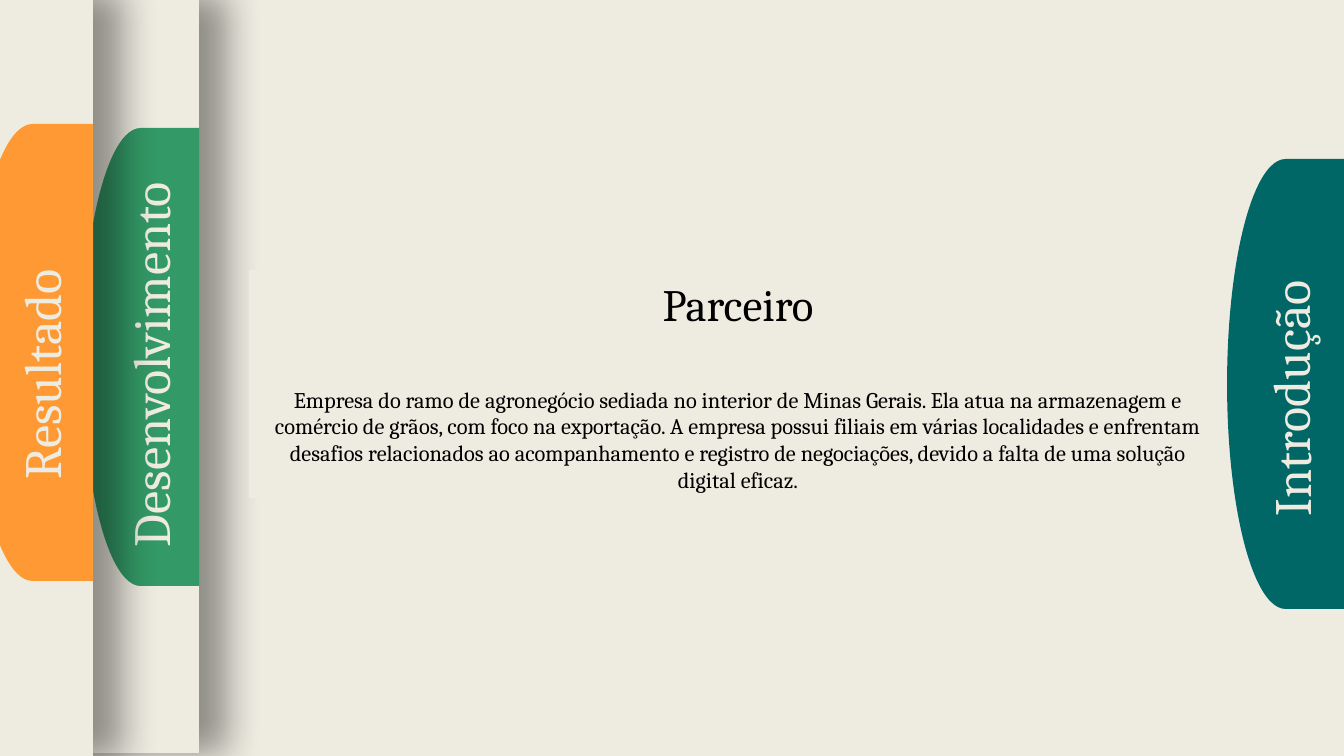
from dataclasses import dataclass
from lxml.etree import SubElement
from pptx import Presentation
from pptx.dml.color import RGBColor
from pptx.enum.shapes import MSO_SHAPE
from pptx.enum.text import MSO_ANCHOR, MSO_AUTO_SIZE, PP_ALIGN
from pptx.oxml.ns import qn
from pptx.util import Emu, Pt


@dataclass(frozen=True)
class Theme:
    font: str = "Cambria"
    paper: str = "EEECE1"
    ink: str = "000000"
    introduction: str = "006666"
    development: str = "339966"
    result: str = "FF9933"
    tab_size: int = 28
    title_size: int = 24
    body_size: int = 12


def px(length):
    return Emu(round(length * 914400 / 134.4))


class TabbedSlide:
    def __init__(self, deck, theme):
        self.theme = theme
        self.slide = deck.slides.add_slide(deck.slide_layouts[1])
        self.paint(self.slide.background, theme.paper)

    def paint(self, target, color):
        target.fill.solid()
        target.fill.fore_color.rgb = RGBColor.from_string(color)

    def block(self, shapes, preset, box, color, rotation=0):
        block = shapes.add_shape(preset, *map(px, box))
        block.rotation = rotation
        block.shadow.inherit = False
        self.paint(block, color)
        block.line.fill.background()
        return block

    def set_text(self, frame, text, size, color, align):
        frame.text = text
        frame.word_wrap = True
        frame.auto_size = MSO_AUTO_SIZE.NONE
        frame.vertical_anchor = MSO_ANCHOR.TOP
        paragraph = frame.paragraphs[0]
        paragraph.alignment = align
        paragraph.space_before = Pt(0)
        paragraph.font.name = self.theme.font
        paragraph.font.size = Pt(size)
        paragraph.font.color.rgb = RGBColor.from_string(color)
        return paragraph

    def tab(self, shapes, box, color):
        self.block(shapes, MSO_SHAPE.FLOWCHART_DELAY, box, color, 180)

    def label(self, shapes, text, box, rotation=270, align=PP_ALIGN.CENTER):
        label = shapes.add_textbox(*map(px, box))
        label.rotation = rotation
        self.set_text(label.text_frame, text, self.theme.tab_size, self.theme.paper, align)

    def cast_shadow(self, sheet):
        effects = sheet._element.spPr.find(qn("a:effectLst"))
        shadow = SubElement(effects, qn("a:outerShdw"), blurRad=str(Pt(20)),
                            dist=str(Pt(15)), dir="0", algn="l", rotWithShape="0")
        tint = SubElement(shadow, qn("a:srgbClr"), val=self.theme.ink)
        SubElement(tint, qn("a:alpha"), val="40000")

    def divider(self, text, sheet_box, tab_box, label_box, color):
        shapes = self.slide.shapes.add_group_shape().shapes
        sheet = self.block(shapes, MSO_SHAPE.RECTANGLE, sheet_box, self.theme.paper)
        self.cast_shadow(sheet)
        self.tab(shapes, tab_box, color)
        self.label(shapes, text, label_box)

    def card(self, box):
        self.block(self.slide.shapes, MSO_SHAPE.RECTANGLE, box, self.theme.paper)

    def placeholder(self, index, text, box, size):
        holder = self.slide.placeholders[index]
        holder.left, holder.top, holder.width, holder.height = map(px, box)
        paragraph = self.set_text(holder.text_frame, text, size, self.theme.ink, PP_ALIGN.CENTER)
        self.slide.shapes._spTree.append(holder._element)
        return paragraph

    def title(self, text, box):
        self.placeholder(0, text, box, self.theme.title_size)

    def body(self, text, box):
        properties = self.placeholder(1, text, box, self.theme.body_size)._p.get_or_add_pPr()
        properties.set("marL", "0")
        properties.set("indent", "0")
        bullet = SubElement(properties, qn("a:buNone"))
        properties.find(qn("a:defRPr")).addprevious(bullet)


def main():
    theme = Theme()
    deck = Presentation()
    deck.slide_width, deck.slide_height = px(1344), px(756)
    page = TabbedSlide(deck, theme)

    page.divider("Desenvolvimento", (-1158, -5, 1357, 758), (82, 128, 117, 458),
                 (-70, 327, 439, 75), theme.development)
    page.divider("Resultado", (-1310, -9, 1403, 767), (-28, 124, 121, 457),
                 (-129, 336, 341, 77), theme.result)

    page.card((249, 270, 978, 228))
    page.title("Parceiro", (249, 270, 978, 66))
    page.body(
        "Empresa do ramo de agronegócio sediada no interior de Minas Gerais. "
        "Ela atua na armazenagem e comércio de grãos, com foco na exportação. "
        "A empresa possui filiais em várias localidades e enfrentam desafios "
        "relacionados ao acompanhamento e registro de negociações, devido a falta "
        "de uma solução digital eficaz.",
        (249, 379, 978, 119))

    page.tab(page.slide.shapes, (1227, 159, 117, 450), theme.introduction)
    page.label(page.slide.shapes, "Introdução", (1141, 348, 292, 71), 269.6, PP_ALIGN.LEFT)

    deck.save("out.pptx")


if __name__ == "__main__":
    main()
